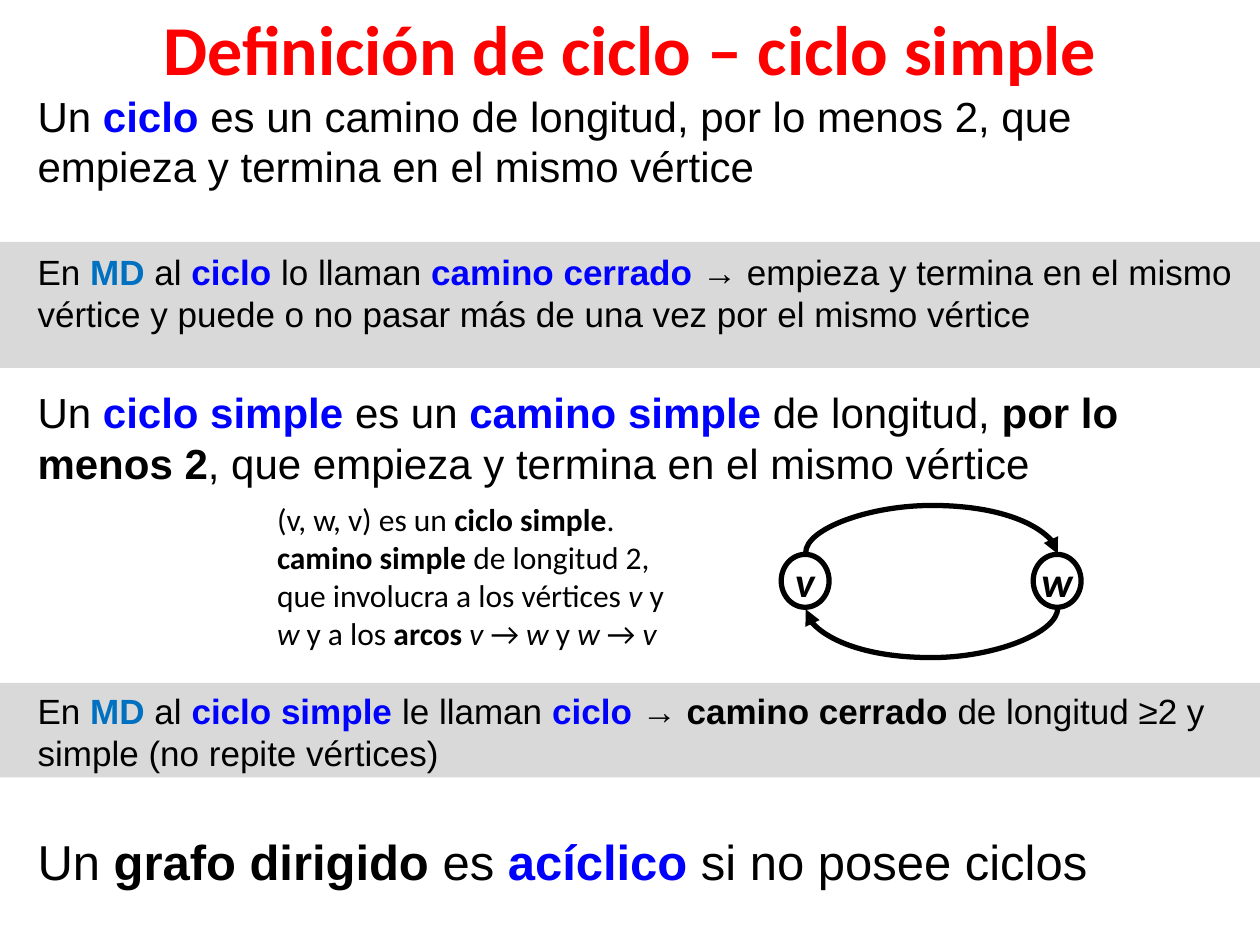
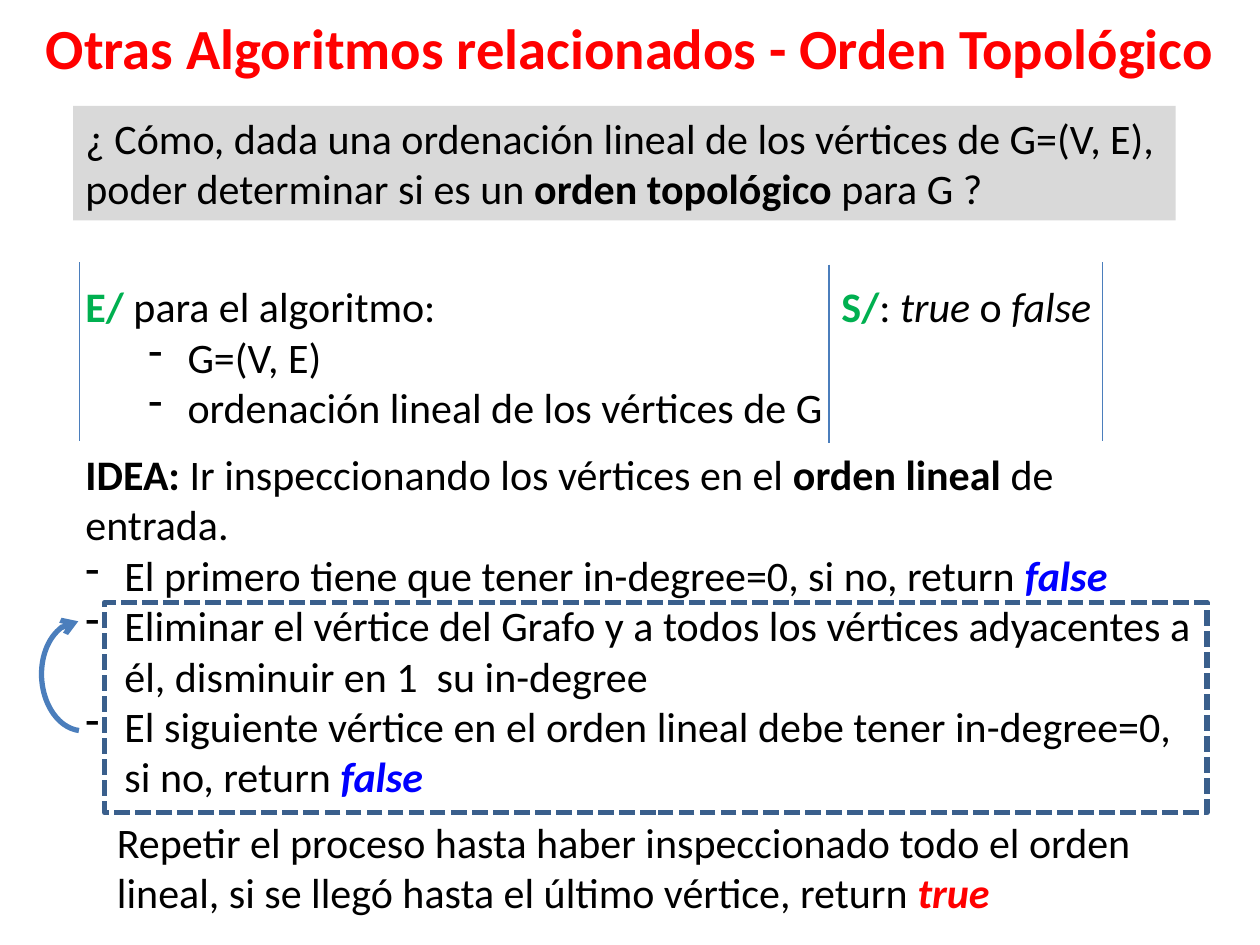
"""Build two slides on graph cycles and topological order."""
from dataclasses import dataclass
from typing import NamedTuple, Optional, Union

import pptx
import pptx.dml.color
import pptx.enum.dml
import pptx.enum.shapes
import pptx.enum.text
import pptx.oxml.ns
import pptx.util
from lxml import etree

Inches = pptx.util.Inches
Pt = pptx.util.Pt
qn = pptx.oxml.ns.qn
Kind = pptx.enum.shapes.MSO_SHAPE
Link = pptx.enum.shapes.MSO_CONNECTOR
Align = pptx.enum.text.PP_ALIGN
Anchor = pptx.enum.text.MSO_ANCHOR


@dataclass(frozen=True)
class Theme:
    red: str = "FF0000"
    blue: str = "0000FF"
    sky: str = "0070C0"
    green: str = "00B050"
    black: str = "000000"
    band: str = "D9D9D9"
    edge: str = "3A5F8C"
    rule: str = "4B7EBC"
    sans: str = "Arial"
    main: str = "Calibri"
    title: float = 40
    tight: float = 32.4
    large: float = 28
    body: float = 24
    note: float = 20
    small: float = 18
    lead: float = 1.2
    thick: float = 3
    thin: float = 0.75


T = Theme()


class Run(NamedTuple):
    text: str
    hue: Optional[str] = None
    bold: bool = False
    slant: bool = False


class Para(NamedTuple):
    runs: list[Union[str, Run]]
    size: float = T.body
    font: str = T.main
    gap: float = 0
    dash: float = 0
    tab: float = 0
    hue: str = T.black
    align: Optional[Align] = None


class Box(NamedTuple):
    left: float
    top: float
    width: float
    height: float


class Bow(NamedTuple):
    y: float
    start: float
    end: float
    bend: int


def bold(text: str, hue: Optional[str] = None) -> Run:
    return Run(text, hue, True)


def slant(text: str) -> Run:
    return Run(text, slant=True)


def strong(text: str, hue: Optional[str] = None) -> Run:
    return Run(text, hue, True, True)


def paint(hue: str) -> pptx.dml.color.RGBColor:
    return pptx.dml.color.RGBColor.from_string(hue)


def write(shape, paras: list[Para], anchor: Anchor = Anchor.TOP, wrap: bool = True) -> None:
    frame = shape.text_frame
    frame.word_wrap = wrap
    frame.vertical_anchor = anchor
    for i, para in enumerate(paras):
        line = frame.add_paragraph() if i else frame.paragraphs[0]
        line.alignment = para.align or Align.LEFT
        line.line_spacing = Pt(para.size * T.lead)
        line.space_before = Pt(para.gap * T.lead)
        props = line._p.get_or_add_pPr()
        if para.dash:
            props.set("marL", str(Inches(para.dash)))
            props.set("indent", str(Inches(-0.31)))
            etree.SubElement(props, qn("a:buChar"), char="-")
        if para.tab:
            stops = etree.SubElement(props, qn("a:tabLst"))
            etree.SubElement(stops, qn("a:tab"), pos=str(Inches(para.tab)), algn="l")
        line.font.size = Pt(para.size)
        line.font.name = para.font
        line.font.color.rgb = paint(para.hue)
        for item in para.runs:
            part = Run(item) if isinstance(item, str) else item
            run = line.add_run()
            run.text = part.text
            if part.bold:
                run.font.bold = True
            if part.slant:
                run.font.italic = True
            if part.hue:
                run.font.color.rgb = paint(part.hue)


def text(slide, box: Box, paras: list[Para], anchor: Anchor = Anchor.TOP) -> None:
    write(slide.shapes.add_textbox(*map(Inches, box)), paras, anchor)


def head(slide, words: str, size: float) -> None:
    para = Para([bold(words)], size, hue=T.red, align=Align.CENTER)
    text(slide, Box(0.25, 0, 9.5, 0.75), [para], Anchor.MIDDLE)


def form(slide, kind: Kind, box: Box, fill: Optional[str] = None, edge: Optional[str] = None):
    shape = slide.shapes.add_shape(kind, *map(Inches, box))
    shape.shadow.inherit = False
    if fill:
        shape.fill.solid()
        shape.fill.fore_color.rgb = paint(fill)
    else:
        shape.fill.background()
    if edge:
        shape.line.color.rgb = paint(edge)
        shape.line.width = Pt(T.thick)
    else:
        shape.line.fill.background()
    return shape


def tip(shape, end: str, kind: str) -> None:
    etree.SubElement(shape.line._get_or_add_ln(), qn(f"a:{end}"), type=kind)


def link(slide, kind: Link, ends: tuple[float, ...], hue: str, width: float):
    line = slide.shapes.add_connector(kind, *map(Inches, ends))
    line.line.color.rgb = paint(hue)
    line.line.width = Pt(width)
    etree.SubElement(line._element.spPr, qn("a:effectLst"))
    return line


def curve(slide, bow: Bow) -> None:
    mid, slim = 7.39, 0.01
    ends = (mid, bow.y + bow.start, mid + slim, bow.y + bow.end)
    line = link(slide, Link.CURVE, ends, T.black, T.thick)
    tip(line, "tailEnd", "triangle")
    props = line._element.spPr
    props.find(qn("a:xfrm")).set("rot", "5400000")
    geom = props.find(qn("a:prstGeom"))
    guides = geom.find(qn("a:avLst"))
    if guides is None:
        guides = etree.SubElement(geom, qn("a:avLst"))
    etree.SubElement(guides, qn("a:gd"), name="adj1", fmla=f"val {bow.bend * 100000}")


def cycle(slide) -> None:
    for top, height in ((5.42, 0.75), (1.92, 1)):
        form(slide, Kind.RECTANGLE, Box(0, top, 10, height), T.band)
    head(slide, "Definición de ciclo – ciclo simple", T.title)
    text(slide, Box(0.2, 0.67, 9.73, 6.5), [
        Para(["Un ", bold("ciclo", T.blue),
              " es un camino de longitud, por lo menos 2, que empieza y termina en el mismo vértice"],
             font=T.sans),
        Para(["En ", bold("MD", T.sky), " al ", bold("ciclo", T.blue), " lo llaman ",
              bold("camino cerrado ", T.blue),
              "→ empieza y termina en el mismo vértice y puede o no pasar más de una vez "
              "por el mismo vértice"], T.note, T.sans, gap=28),
        Para(["Un ", bold("ciclo simple ", T.blue), "es un ", bold("camino simple ", T.blue),
              "de longitud, ", bold("por lo menos 2"),
              ", que empieza y termina en el mismo vértice"], font=T.sans, gap=25),
        Para(["En ", bold("MD ", T.sky), "al ", bold("ciclo simple ", T.blue), "le llaman ",
              bold("ciclo ", T.blue), "→ ", bold("camino cerrado "),
              "de longitud ≥2 y simple (no repite vértices)"], T.note, T.sans, gap=96),
        Para(["Un ", bold("grafo dirigido "), "es ", bold("acíclico ", T.blue),
              "si no posee ciclos"], T.large, T.sans, gap=28),
    ])
    for name, left in (("v", 6.2), ("w", 8.2)):
        node = form(slide, Kind.OVAL, Box(left, 4.4, 0.38, 0.42), edge=T.black)
        write(node, [Para([strong(name)], align=Align.CENTER)], Anchor.MIDDLE, wrap=False)
    for bow in (Bow(4.39, 1, -1, -38), Bow(4.83, -1, 1, 40)):
        curve(slide, bow)
    text(slide, Box(2.1, 3.92, 3.48, 1.31), [
        Para(["(v, w, v) es un ", bold("ciclo simple"), ". ", bold("camino simple "),
              "de longitud 2, que involucra a los vértices ", slant("v "), "y ", slant("w "),
              "y a los ", bold("arcos "), slant("v "), "→ ", slant("w"), " y ", slant("w"),
              " → ", slant("v")], T.small),
    ])


def order(slide) -> None:
    head(slide, "Otras Algoritmos relacionados - Orden Topológico", T.tight)
    ask = form(slide, Kind.RECTANGLE, Box(0.58, 0.84, 8.75, 0.91), T.band)
    write(ask, [Para(["¿ Cómo, dada una ordenación lineal de los vértices de G=(V, E), "
                      "poder determinar si es un ", bold("orden topológico "), "para G ?"])])
    text(slide, Box(0.58, 2.18, 8.75, 1.31), [
        Para([bold("E/ ", T.green), "para el algoritmo:\t", bold("S/", T.green), ": ",
              slant("true"), " o ", slant("false")], tab=6),
        Para(["G=(V, E)"], dash=0.81),
        Para(["ordenación lineal de los vértices de G"], dash=0.81),
    ])
    text(slide, Box(0.58, 3.51, 9, 2.93), [
        Para([bold("IDEA: "), "Ir inspeccionando los vértices en el ", bold("orden lineal "),
              "de entrada."]),
        Para(["El primero tiene que tener in-degree=0, si no, return ",
              strong("false", T.blue)], dash=0.31),
        Para(["Eliminar el vértice del Grafo y a todos los vértices adyacentes a él, "
              "disminuir en 1  su in-degree"], dash=0.31),
        Para(["El siguiente vértice en el orden lineal debe tener in-degree=0, si no, return ",
              strong("false", T.blue)], dash=0.31),
    ])
    frame = form(slide, Kind.RECTANGLE, Box(0.83, 4.78, 8.75, 1.67), edge=T.edge)
    frame.line.dash_style = pptx.enum.dml.MSO_LINE.SQUARE_DOT
    loop = form(slide, Kind.ARC, Box(0.33, 4.93, 0.63, 0.87), edge=T.rule)
    loop.adjustments[0] = 162
    loop.adjustments[1] = 50.67
    loop.rotation = 356.9
    loop._element.spPr.find(qn("a:xfrm")).set("flipH", "1")
    tip(loop, "headEnd", "arrow")
    text(slide, Box(0.83, 6.43, 8.75, 0.91), [
        Para(["Repetir el proceso hasta haber inspeccionado todo el orden lineal, "
              "si se llegó hasta el último vértice, return ", strong("true", T.red)]),
    ])
    for x, top in ((6.58, 2.1), (8.75, 2.08), (0.63, 2.08)):
        link(slide, Link.STRAIGHT, (x, top, x, top + 1.42), T.rule, T.thin)


def main() -> None:
    deck = pptx.Presentation()
    deck.slide_width, deck.slide_height = Inches(10), Inches(7.5)
    for draw in (cycle, order):
        draw(deck.slides.add_slide(deck.slide_layouts[6]))
    deck.save("out.pptx")


if __name__ == "__main__":
    main()
